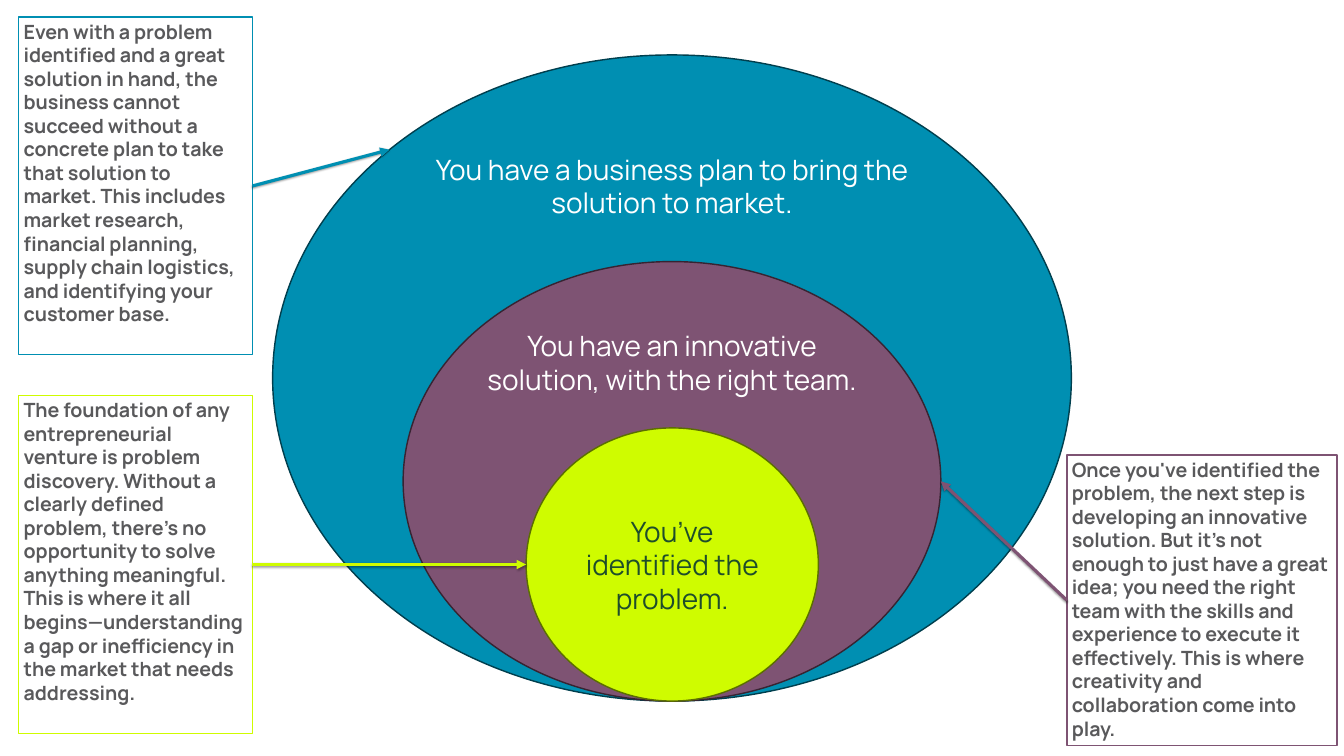
import pptx
import pptx.dml.color
import pptx.enum.shapes
import pptx.enum.text
import pptx.oxml
import pptx.oxml.ns
import pptx.util
from pptx.util import Inches

COLOURS = {
    "white": "FFFFFF", "grey": "59595B", "green": "1E4D2B",
    "blue": "008FB2", "blue_edge": "003F4E",
    "purple": "7E5373", "purple_edge": "372432",
    "lime": "CFFC00", "lime_edge": "5B6E00",
}
SHADOW = (
    f'<a:effectLst {pptx.oxml.ns.nsdecls("a")}>'
    '<a:outerShdw blurRad="39370" dist="20320" dir="5400000" rotWithShape="0">'
    '<a:srgbClr val="000000"><a:alpha val="38000"/></a:srgbClr>'
    '</a:outerShdw></a:effectLst>'
)
ARROWHEAD = f'<a:tailEnd {pptx.oxml.ns.nsdecls("a")} type="triangle"/>'


def colour(name):
    return pptx.dml.color.RGBColor.from_string(COLOURS[name])


def write_text(shape, text, size, color, bold=False, align="LEFT", anchor="TOP", grow=False):
    frame = shape.text_frame
    frame.word_wrap = True
    frame.vertical_anchor = getattr(pptx.enum.text.MSO_ANCHOR, anchor)
    if grow:
        frame.auto_size = pptx.enum.text.MSO_AUTO_SIZE.SHAPE_TO_FIT_TEXT
    paragraph = frame.paragraphs[0]
    paragraph.alignment = getattr(pptx.enum.text.PP_ALIGN, align)
    run = paragraph.add_run()
    run.text = text
    run.font.name = "Manrope"
    run.font.size = pptx.util.Pt(size)
    run.font.bold = bold
    run.font.color.rgb = colour(color)


class StackedVenn:
    """Draws nested ellipses, note boxes and arrows on one slide."""

    def __init__(self, slide):
        self.slide = slide

    def outline(self, kind, box, fill, edge):
        shape = self.slide.shapes.add_shape(kind, *map(Inches, box))
        shape.shadow.inherit = False
        shape.fill.solid()
        shape.fill.fore_color.rgb = colour(fill)
        shape.line.color.rgb = colour(edge)
        shape.line.width = pptx.util.Pt(2)
        return shape

    def stage(self, box, fill, text, color="white", anchor="TOP"):
        kind = pptx.enum.shapes.MSO_SHAPE.OVAL
        shape = self.outline(kind, box, fill, f"{fill}_edge")
        write_text(shape, text, size=40, color=color, align="CENTER", anchor=anchor)

    def note(self, box, edge, text):
        shape = self.outline(pptx.enum.shapes.MSO_SHAPE.RECTANGLE, box, "white", edge)
        write_text(shape, text, size=28, color="grey", bold=True, grow=True)
        return shape

    def arrow(self, note, side, target, color):
        kind = pptx.enum.shapes.MSO_CONNECTOR.STRAIGHT
        end_x, end_y = map(Inches, target)
        connector = self.slide.shapes.add_connector(kind, note.left, note.top, end_x, end_y)
        connector.begin_connect(note, side)
        connector.line.color.rgb = colour(color)
        connector.line.width = pptx.util.Pt(4.5)
        connector.line._get_or_add_ln().append(pptx.oxml.parse_xml(ARROWHEAD))
        connector._element.spPr.append(pptx.oxml.parse_xml(SHADOW))


def main():
    presentation = pptx.Presentation()
    presentation.slide_width = Inches(26.67)
    presentation.slide_height = Inches(15)
    venn = StackedVenn(presentation.slides.add_slide(presentation.slide_layouts[6]))

    venn.stage((5.41, 1.09, 15.85, 12.82), "blue",
               "You have a business plan to bring the solution to market.")
    venn.stage((8, 5.19, 10.67, 8.72), "purple",
               "You have an innovative solution, with the right team.")
    venn.stage((10.44, 8.49, 5.8, 5.42), "lime", "You’ve identified the problem.",
               color="green", anchor="MIDDLE")

    left, right = 1, 3
    notes = [
        ((0.37, 7.85, 4.64, 6.7), "lime", right, (10.44, 11.2),
         "The foundation of any entrepreneurial venture is problem discovery. Without a "
         "clearly defined problem, there's no opportunity to solve anything meaningful. "
         "This is where it all begins—understanding a gap or inefficiency in the market "
         "that needs addressing."),
        ((21.17, 9.03, 5.36, 5.76), "purple", left, (18.67, 9.55),
         "Once you've identified the problem, the next step is developing an innovative "
         "solution. But it's not enough to just have a great idea; you need the right team "
         "with the skills and experience to execute it effectively. This is where "
         "creativity and collaboration come into play."),
        ((0.37, 0.34, 4.64, 6.7), "blue", right, (7.73, 2.97),
         "Even with a problem identified and a great solution in hand, the business cannot "
         "succeed without a concrete plan to take that solution to market. This includes "
         "market research, financial planning, supply chain logistics, and identifying "
         "your customer base."),
    ]
    for box, color, side, target, text in notes:
        note = venn.note(box, color, text)
        venn.arrow(note, side, target, color)

    presentation.save("out.pptx")


if __name__ == "__main__":
    main()
